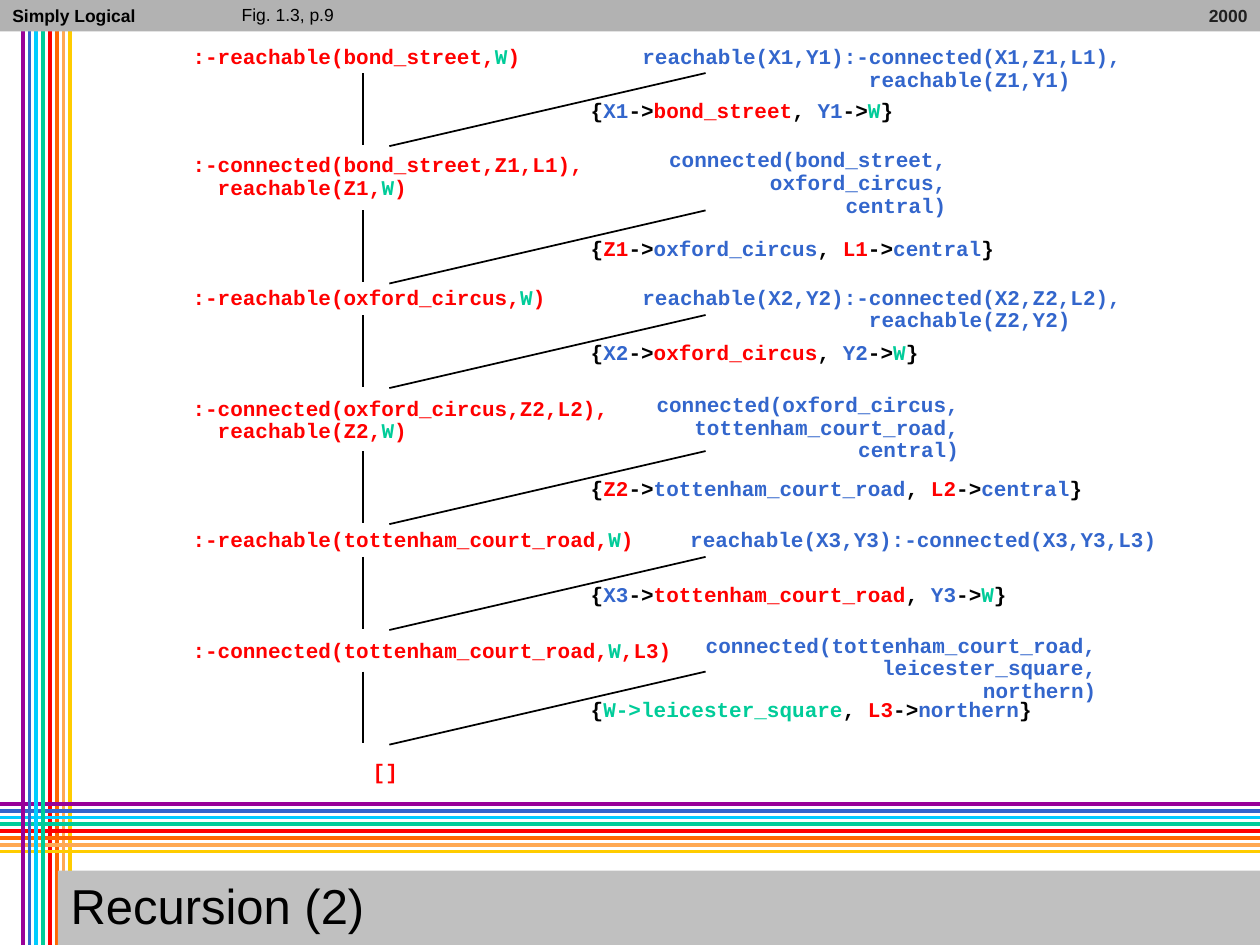
"""Build the Recursion (2) slide showing a resolution proof tree."""
from itertools import cycle

from lxml import etree
from pptx import Presentation
from pptx.dml.color import RGBColor
from pptx.enum.shapes import MSO_CONNECTOR, MSO_SHAPE
from pptx.enum.text import MSO_ANCHOR, MSO_AUTO_SIZE, PP_ALIGN
from pptx.oxml.ns import qn
from pptx.util import Inches, Pt

STRAIGHT = MSO_CONNECTOR.STRAIGHT
RECT = MSO_SHAPE.RECTANGLE
MIDDLE = MSO_ANCHOR.MIDDLE
FIXED = MSO_AUTO_SIZE.NONE
LEFT, RIGHT = PP_ALIGN.LEFT, PP_ALIGN.RIGHT

BLACK, RED, BLUE, GREEN = "000000", "FF0000", "3366CC", "00CC99"
BANDS = ["990099", BLUE, "00CCFF", GREEN, RED, "FF6600", "FFA953", "FFCC00"]
GOAL = [RED, GREEN]
RULE = [BLACK, BLUE, BLACK, RED, BLACK, BLUE, BLACK, GREEN, BLACK]
FACT = [BLACK, RED, BLACK, BLUE, BLACK, RED, BLACK, BLUE, BLACK]
LAST = [BLACK, GREEN, BLACK, RED, BLACK, BLUE, BLACK]

GOALS = [
    (0.32, [":-reachable(bond_street,|W|)"]),
    (1.18, [":-connected(bond_street,Z1,L1),", "  reachable(Z1,|W|)"]),
    (2.23, [":-reachable(oxford_circus,|W|)"]),
    (3.11, [":-connected(oxford_circus,Z2,L2),", "  reachable(Z2,|W|)"]),
    (4.15, [":-reachable(tottenham_court_road,|W|)"]),
    (5.03, [":-connected(tottenham_court_road,|W|,L3)"]),
]
CLAUSES = [
    (5, 0.32, LEFT, ["reachable(X1,Y1):-connected(X1,Z1,L1),",
                     "                  reachable(Z1,Y1)"]),
    (5.21, 1.14, RIGHT, ["connected(bond_street,", "oxford_circus,", "central)"]),
    (5, 2.23, LEFT, ["reachable(X2,Y2):-connected(X2,Z2,L2),",
                     "                  reachable(Z2,Y2)"]),
    (5.11, 3.08, RIGHT, ["connected(oxford_circus,", "tottenham_court_road,", "central)"]),
    (5.38, 4.15, LEFT, ["reachable(X3,Y3):-connected(X3,Y3,L3)"]),
    (5.5, 4.99, RIGHT, ["connected(tottenham_court_road,", "leicester_square,", "northern)"]),
]
STEPS = [
    (0.58, RULE, "{|X1|->|bond_street|, |Y1|->|W|}"),
    (1.67, FACT, "{|Z1|->|oxford_circus|, |L1|->|central|}"),
    (2.5, RULE, "{|X2|->|oxford_circus|, |Y2|->|W|}"),
    (3.58, FACT, "{|Z2|->|tottenham_court_road|, |L2|->|central|}"),
    (4.42, RULE, "{|X3|->|tottenham_court_road|, |Y3|->|W|}"),
    (5.33, LAST, "{|W->leicester_square|, |L3|->|northern|}"),
]


def rgb(code):
    """Turn a hex string into a colour."""
    return RGBColor.from_string(code)


class Deck:
    """Hold the style and the current slide."""

    sans, mono = "Arial", "Courier New"

    def __init__(self):
        """Start a deck with one title slide."""
        self.prs = Presentation()
        self.prs.slide_width, self.prs.slide_height = Inches(10), Inches(7.5)
        self.slide = self.prs.slides.add_slide(self.prs.slide_layouts[5])
        self.shapes = self.slide.shapes

    def style(self, font, name, size, color, bold=False):
        """Set the look of a font."""
        font.name, font.size, font.bold = name, Pt(size), bold
        font.color.rgb = rgb(color)

    def line(self, x1, y1, x2, y2, color=BLACK, width=1):
        """Draw a straight line."""
        ends = [Inches(v) for v in (x1, y1, x2, y2)]
        item = self.shapes.add_connector(STRAIGHT, *ends)
        item.line.color.rgb, item.line.width = rgb(color), Pt(width)
        etree.SubElement(item._element.spPr, qn("a:effectLst"))

    def bar(self, x, y, w, h, color):
        """Draw a plain filled bar."""
        item = self.shapes.add_shape(RECT, Inches(x), Inches(y), Inches(w), Inches(h))
        item.shadow.inherit = False
        item.fill.solid()
        item.fill.fore_color.rgb = rgb(color)
        item.line.fill.background()

    def label(self, x, y, w, text, color=BLACK, bold=True, align=LEFT):
        """Write a small label in the top bar."""
        box = self.shapes.add_textbox(Inches(x), Inches(y), Inches(w), Inches(0.25))
        frame = box.text_frame
        frame.word_wrap, frame.text = True, text
        para = frame.paragraphs[0]
        para.alignment, para.line_spacing = align, 0.9
        self.style(para.runs[0].font, self.sans, 10, color, bold)

    def code(self, x, y, rows, colors, align=LEFT):
        """Write code rows whose parts, split at bars, cycle through colours."""
        wide = max(len(row.replace("|", "")) for row in rows)
        box = self.shapes.add_textbox(Inches(x), Inches(y), Inches(0.2 + 0.1 * wide),
                                      Inches(0.1 + 0.18 * len(rows)))
        frame = box.text_frame
        frame.word_wrap = False
        for i, row in enumerate(rows):
            para = frame.add_paragraph() if i else frame.paragraphs[0]
            para.alignment, para.line_spacing = align, 0.9
            for part, color in zip(row.split("|"), cycle(colors)):
                run = para.add_run()
                run.text = part
                self.style(run.font, self.mono, 12, color, True)

    def title(self, text):
        """Fill the title placeholder and bring it to the front."""
        item = self.shapes.title
        item.left, item.top = Inches(0.46), Inches(6.91)
        item.width, item.height = Inches(9.54), Inches(0.6)
        item.fill.solid()
        item.fill.fore_color.rgb = rgb("C0C0C0")
        frame = item.text_frame
        frame.text, frame.vertical_anchor, frame.auto_size = text, MIDDLE, FIXED
        para = frame.paragraphs[0]
        para.alignment, para.line_spacing = LEFT, 0.9
        self.style(para.runs[0].font, self.sans, 28, BLACK)
        self.shapes._spTree.append(item._element)


def main():
    """Build and save the slide."""
    deck = Deck()
    gap = 0.054
    rails = [(0.18 + gap * i, color) for i, color in enumerate(BANDS)]
    for x, color in rails[4:]:
        deck.line(x, 0, x, 7.5, color, 2.25)
    for i, color in enumerate(BANDS):
        y = 6.38 + gap * i
        deck.line(10, y, 0, y, color, 2.25)
    for x, color in rails[:4]:
        deck.line(x, 0, x, 7.5, color, 2.25)
    deck.bar(0, 0, 10, 0.25, "B2B2B2")

    for y, rows in GOALS:
        deck.code(1.43, y, rows, GOAL)
    for x, y, align, rows in CLAUSES:
        deck.code(x, y, rows, [BLUE], align)
    for y, colors, row in STEPS:
        deck.line(2.88, y, 2.88, y + 0.57)
        deck.line(3.09, y + 0.58, 5.6, y)
        deck.code(4.59, y + 0.17, [row], colors)
    deck.code(2.86, 5.99, ["[]"], [RED])

    deck.label(1.82, 0, 1.2, "Fig. 1.3, p.9", bold=False)
    deck.title("Recursion (2)")
    deck.label(0, 0.01, 2, "Simply Logical")
    deck.label(7.3, 0.01, 2.7, "2000", "202020", align=RIGHT)
    deck.prs.save("out.pptx")


if __name__ == "__main__":
    main()
